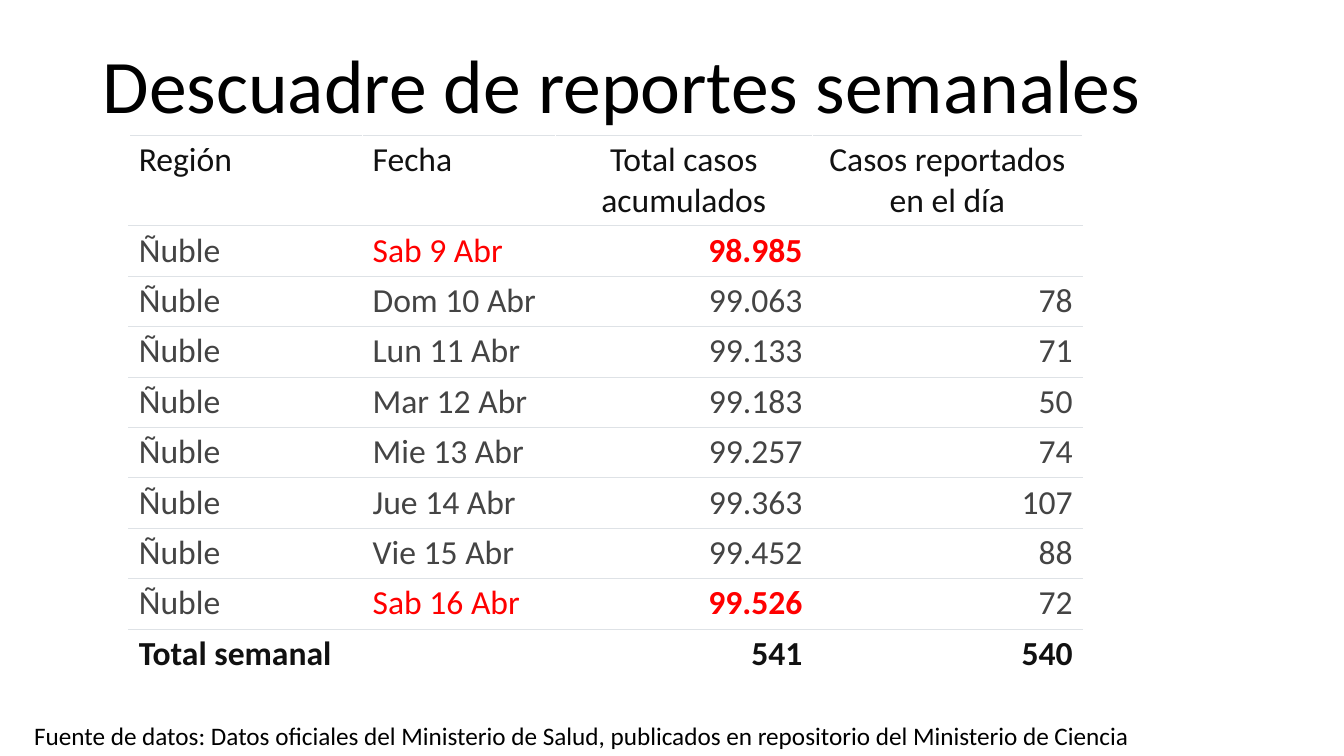
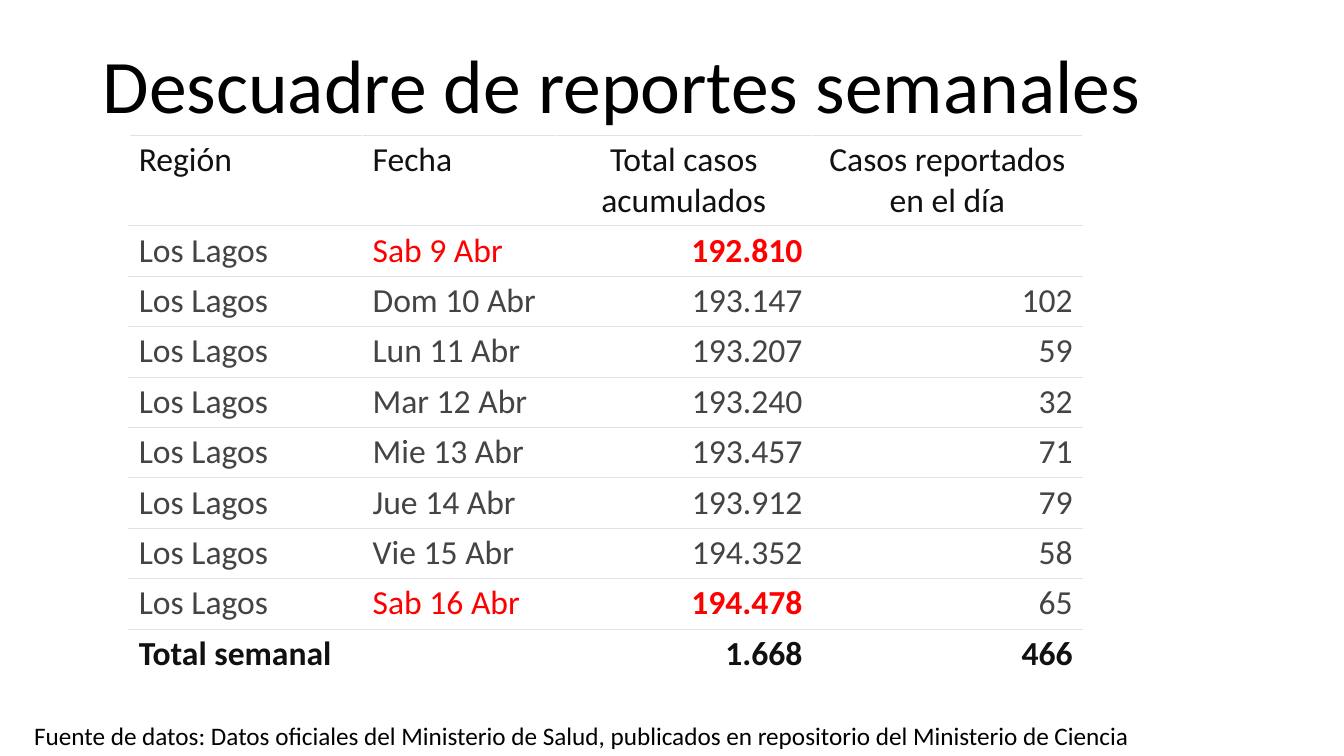
import pptx
import pptx.dml.color
import pptx.enum.text
import pptx.oxml
import pptx.oxml.ns
import pptx.util

Pt = pptx.util.Pt
ALIGN = pptx.enum.text.PP_ALIGN
ANCHOR = pptx.enum.text.MSO_ANCHOR
AUTO = pptx.enum.text.MSO_AUTO_SIZE

FONT = "Calibri"
BLACK, DARK, GREY, RED = "000000", "111111", "444444", "FF0000"
WHITE, RULE = "FFFFFF", "DEE2E6"

TITLE = "Descuadre de reportes semanales"
SOURCE = ("Fuente de datos: Datos oficiales del Ministerio de Salud, "
          "publicados en repositorio del Ministerio de Ciencia")
TITLE_BOX = (66.2, 23, 828, 73.4)
SOURCE_BOX = (17.3, 511, 808, 29)
TABLE_BOX = (92.2, 96.5, 681, 388.8)

COLUMN_WIDTHS = (167, 137.5, 183.5, 193)
HEADER_HEIGHT = 64.8
HEADERS = ("Región", "Fecha", "Total casos acumulados", "Casos reportados en el día")
DATES = ("Sab 9 Abr", "Dom 10 Abr", "Lun 11 Abr", "Mar 12 Abr",
         "Mie 13 Abr", "Jue 14 Abr", "Vie 15 Abr", "Sab 16 Abr")

REPORTS = (
    ("Ñuble",
     ("98.985", "99.063", "99.133", "99.183", "99.257", "99.363", "99.452", "99.526"),
     ("", "78", "71", "50", "74", "107", "88", "72"),
     ("541", "540")),
    ("Los Lagos",
     ("192.810", "193.147", "193.207", "193.240", "193.457", "193.912", "194.352", "194.478"),
     ("", "102", "59", "32", "71", "79", "58", "65"),
     ("1.668", "466")),
)


def rgb(value):
    """Turn a hex string into a colour."""
    return pptx.dml.color.RGBColor.from_string(value)


def style(p, size, color, bold=False, align=ALIGN.LEFT):
    """Format one paragraph."""
    p.alignment = align
    p.font.name = FONT
    p.font.size = Pt(size)
    p.font.bold = bold
    p.font.color.rgb = rgb(color)


def add_title(s, box):
    """Place and format the slide title."""
    sp = s.shapes.title
    sp.left, sp.top, sp.width, sp.height = map(Pt, box)
    tf = sp.text_frame
    tf.text = TITLE
    tf.auto_size = AUTO.NONE
    tf.vertical_anchor = ANCHOR.BOTTOM
    p = tf.paragraphs[0]
    style(p, 54, BLACK)
    p.line_spacing = 0.9
    p.space_after = Pt(6)


def add_source(s, box):
    """Place the data source line at the foot of the slide."""
    tf = s.shapes.add_textbox(*map(Pt, box)).text_frame
    tf.word_wrap = True
    tf.auto_size = AUTO.SHAPE_TO_FIT_TEXT
    tf.text = SOURCE
    style(tf.paragraphs[0], 18, BLACK)


def add_rules(cell, sides):
    """Draw thin rules on the given sides of a cell."""
    tc_pr = cell._tc.get_or_add_tcPr()
    for i, side in enumerate(sides):
        tc_pr.insert(i, pptx.oxml.parse_xml(
            f'<a:ln{side} {pptx.oxml.ns.nsdecls("a")} w="{Pt(0.75)}"><a:solidFill>'
            f'<a:srgbClr val="{RULE}"/></a:solidFill></a:ln{side}>'))


def fill_cell(cell, text, color, bold, align, sides):
    """Write and format one table cell."""
    cell.fill.solid()
    cell.fill.fore_color.rgb = rgb(WHITE)
    cell.margin_left = cell.margin_right = Pt(7)
    cell.margin_top = cell.margin_bottom = Pt(3.2)
    cell.text = text
    style(cell.text_frame.paragraphs[0], 24, color, bold, align)
    add_rules(cell, sides)


def cell_look(row, col, last):
    """Give the colour, weight and alignment of a cell."""
    if row == 0:
        return DARK, False, ALIGN.LEFT if col < 2 else ALIGN.CENTER
    align = ALIGN.LEFT if col < 2 else ALIGN.RIGHT
    if row == last:
        return DARK, True, align
    if row in (1, last - 1) and col in (1, 2):
        return RED, col == 2, align
    return GREY, False, align


def add_cases_table(s, box, region, totals, daily, sums):
    """Build the table of weekly cases of one region."""
    rows = [HEADERS, *((region, *day) for day in zip(DATES, totals, daily)),
            ("Total semanal", "", *sums)]
    last = len(rows) - 1
    table = s.shapes.add_table(len(rows), len(HEADERS), *map(Pt, box)).table
    table.horz_banding = False
    for column, width in zip(table.columns, COLUMN_WIDTHS):
        column.width = Pt(width)
    for i, values in enumerate(rows):
        table.rows[i].height = Pt((box[3] - HEADER_HEIGHT) / last if i else HEADER_HEIGHT)
        for j, text in enumerate(values):
            fill_cell(table.cell(i, j), text, *cell_look(i, j, last),
                      "T" if i == last else "TB")


def add_report_slide(prs, report):
    """Add the slide of one region."""
    s = prs.slides.add_slide(prs.slide_layouts[5])
    add_source(s, SOURCE_BOX)
    add_title(s, TITLE_BOX)
    add_cases_table(s, TABLE_BOX, *report)


def main():
    """Build and save the presentation."""
    prs = pptx.Presentation()
    prs.slide_width, prs.slide_height = Pt(960), Pt(540)
    for report in REPORTS:
        add_report_slide(prs, report)
    prs.save("out.pptx")


if __name__ == "__main__":
    main()
